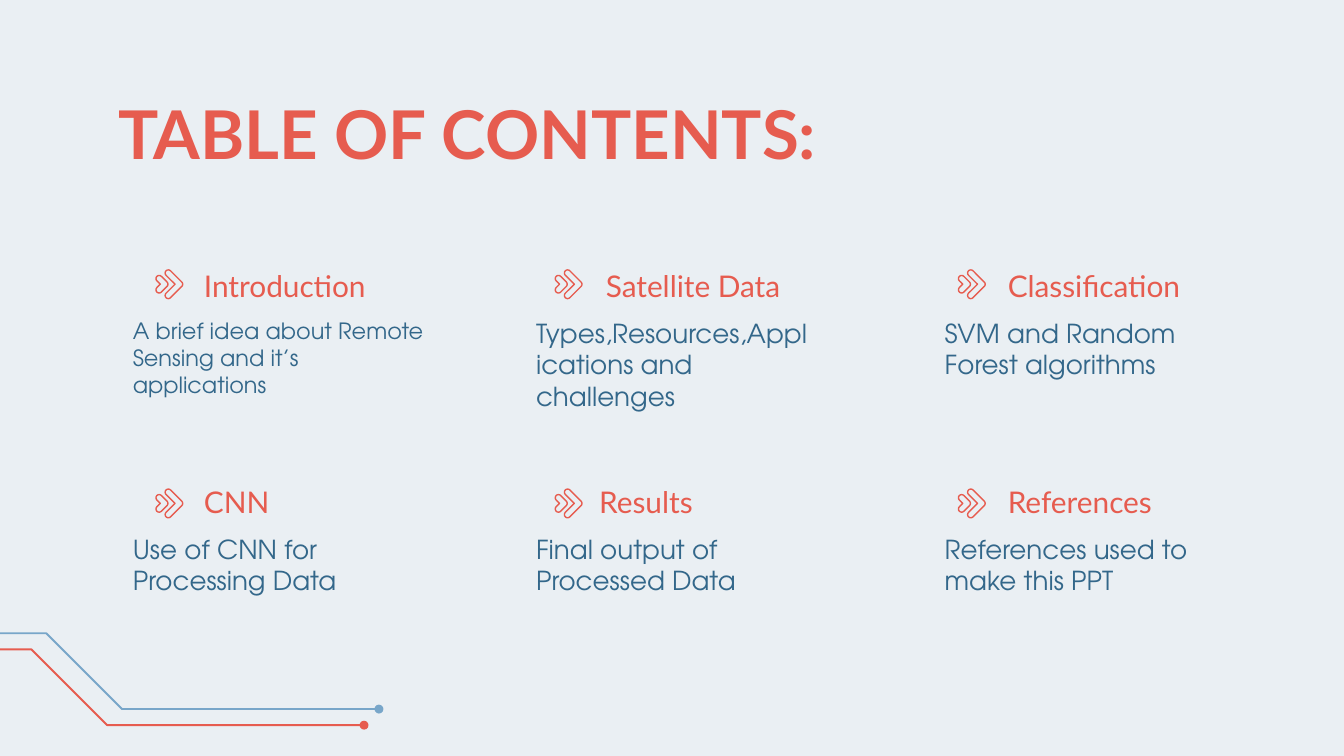
from dataclasses import dataclass
from math import cos, radians, sin, sqrt

from pptx import Presentation
from pptx.dml.color import RGBColor
from pptx.enum.shapes import MSO_SHAPE
from pptx.enum.text import MSO_ANCHOR, MSO_AUTO_SIZE, PP_ALIGN
from pptx.util import Pt

OVAL = MSO_SHAPE.OVAL
TOP = MSO_ANCHOR.TOP
LEFT = PP_ALIGN.LEFT
NO_FIT = MSO_AUTO_SIZE.NONE


@dataclass(frozen=True)
class Theme:
    background = RGBColor.from_string("EAEFF3")
    accent = RGBColor.from_string("E65C4F")
    body = RGBColor.from_string("33678A")
    trace = RGBColor.from_string("78A6C9")
    heading_font = "Lato"
    body_font = "TeX Gyre Adventor"
    title_size = 36
    heading_size = 16
    body_size = 14
    small_body_size = 12
    inset = 7.2


THEME = Theme()

# Column: left edge of the description, then offsets of icon and heading
COLUMNS = [(64.1, 19.4, 38.1), (280.1, 17.3, 37.4), (499, 14.4, 33.8)]
# Row: top of the heading, then offset of the icon
ROWS = [(136.1, 8.6), (252, 10.1)]

# Heading, description, description size, heading shift
TOPICS = [
    [
        ("Introduction", "A brief idea about Remote Sensing and it’s applications",
         THEME.small_body_size, 0),
        ("Satellite Data", "Types,Resources,Applications and challenges",
         THEME.body_size, 0),
        ("Classification", "SVM and Random Forest algorithms", THEME.body_size, 0),
    ],
    [
        ("CNN", "Use of CNN for Processing Data", THEME.body_size, 0),
        ("Results", "Final output of Processed Data", THEME.body_size, -3.6),
        ("References", "References used to make this PPT", THEME.body_size, 0),
    ],
]


def write_text(shape, text, font_name, size, color, bold=False):
    frame = shape.text_frame
    frame.word_wrap = True
    frame.auto_size = NO_FIT
    frame.vertical_anchor = TOP
    frame.margin_left = frame.margin_right = Pt(THEME.inset)
    frame.margin_top = frame.margin_bottom = Pt(THEME.inset)
    frame.text = text
    paragraph = frame.paragraphs[0]
    paragraph.alignment = LEFT
    font = paragraph.font
    font.name, font.size, font.bold = font_name, Pt(size), bold
    font.color.rgb = color


def add_label(slide, left, top, width, height, text, font_name, size, color):
    label = slide.shapes.add_textbox(Pt(left), Pt(top), Pt(width), Pt(height))
    write_text(label, text, font_name, size, color)


def add_outline(slide, points, color, weight, close):
    vertices = [(Pt(x), Pt(y)) for x, y in points]
    builder = slide.shapes.build_freeform(*vertices[0])
    builder.add_line_segments(vertices[1:], close=close)
    outline = builder.convert_to_shape()
    outline.shadow.inherit = False
    outline.fill.background()
    outline.line.color.rgb = color
    outline.line.width = Pt(weight)


def arc(x, y, radius, start, end, steps=8):
    angles = [radians(start + (end - start) * i / steps) for i in range(steps + 1)]
    return [(x + radius * cos(a), y + radius * sin(a)) for a in angles]


def add_chevron(slide, right, middle, reach, radius=1.7):
    """Outline of two round-ended arms that meet at a tip on the right."""
    tip = right - radius
    points = arc(tip - reach, middle - reach, radius, -45, -225)
    points.append((tip - radius * sqrt(2), middle))
    points += arc(tip - reach, middle + reach, radius, 225, 45)
    points += arc(tip, middle, radius, 45, -45)
    add_outline(slide, points, THEME.accent, 0.75, close=True)


def add_icon(slide, left, top):
    middle = top + 7.6
    add_chevron(slide, left + 14.4, middle, reach=6)
    add_chevron(slide, left + 6.5, middle, reach=3)


def add_title(slide, left, top, width, height):
    title = slide.shapes.title
    title.left, title.top = Pt(left), Pt(top)
    title.width, title.height = Pt(width), Pt(height)
    write_text(title, "TABLE OF CONTENTS:", THEME.heading_font,
               THEME.title_size, THEME.accent, bold=True)


def add_topic(slide, column, row, topic):
    left, icon_dx, heading_dx = column
    top, icon_dy = row
    heading, description, size, shift = topic
    width = 170.6 if size == THEME.small_body_size else 159.8
    add_label(slide, left + heading_dx + shift, top, 118, 25.2, heading,
              THEME.heading_font, THEME.heading_size, THEME.accent)
    add_label(slide, left, top + 26.6, width, 44.6, description,
              THEME.body_font, size, THEME.body)
    add_icon(slide, left + icon_dx, top + icon_dy)


def add_trace(slide, knee, top, color):
    """Circuit line from the slide's left edge to a round end point."""
    drop, run, dot = 40.6, 137.6, 4.8
    bottom = top + drop
    end = knee + drop + run
    add_outline(slide, [(0, top), (knee, top), (knee + drop, bottom), (end, bottom)],
                color, 1, close=False)
    end_point = slide.shapes.add_shape(
        OVAL, Pt(end - dot / 2), Pt(bottom - dot / 2), Pt(dot), Pt(dot))
    end_point.shadow.inherit = False
    end_point.fill.solid()
    end_point.fill.fore_color.rgb = color
    end_point.line.fill.background()


def main():
    deck = Presentation()
    deck.slide_width, deck.slide_height = Pt(720), Pt(405)
    slide = deck.slides.add_slide(deck.slide_layouts[5])
    slide.background.fill.solid()
    slide.background.fill.fore_color.rgb = THEME.background

    # Corner decoration
    add_trace(slide, 24.8, 339.3, THEME.trace)
    add_trace(slide, 16.8, 347.9, THEME.accent)

    # Title and grid of topics
    add_title(slide, 56.2, 42.5, 611.3, 48.2)
    for row, topics in zip(ROWS, TOPICS):
        for column, topic in zip(COLUMNS, topics):
            add_topic(slide, column, row, topic)

    deck.save("out.pptx")


if __name__ == "__main__":
    main()
